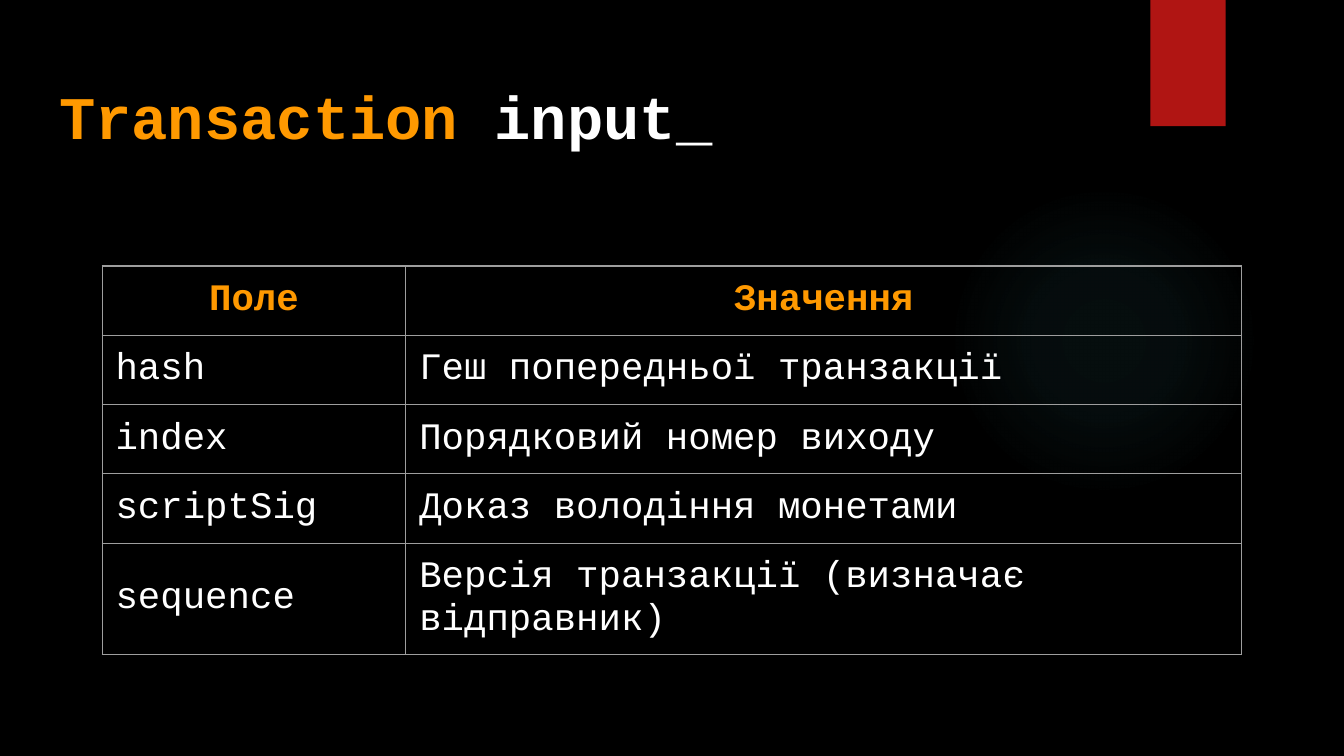
from dataclasses import dataclass

from lxml.etree import SubElement
from pptx import Presentation
from pptx.dml.color import RGBColor
from pptx.enum.shapes import MSO_SHAPE
from pptx.enum.text import MSO_ANCHOR, MSO_AUTO_SIZE, PP_ALIGN
from pptx.oxml import parse_xml
from pptx.oxml.ns import nsdecls, qn
from pptx.shapes.autoshape import Shape
from pptx.slide import Slide
from pptx.table import _Cell
from pptx.util import Inches, Pt


@dataclass(frozen=True)
class Theme:
    font: str = "Courier New"
    background: str = "000000"
    accent: str = "FF9900"
    text: str = "FFFFFF"
    ribbon: str = "B01513"
    glow: str = "50B9C1"
    border: str = "9E9E9E"
    title_size: float = 32.4
    table_size: float = 20
    border_width: float = 0.75


@dataclass(frozen=True)
class Box:
    left: float
    top: float
    width: float
    height: float

    def lengths(self) -> tuple[int, ...]:
        return tuple(Inches(v) for v in (self.left, self.top, self.width, self.height))


@dataclass(frozen=True)
class Field:
    name: str
    meaning: str


THEME = Theme()
SLIDE_WIDTH = 10
MARGIN = Inches(0.1)
ROW_HEIGHT = 0.42
COLUMN_WIDTHS = (2.26, 6.22)
HEADER = Field("Поле", "Значення")
FIELDS = (
    Field("hash", "Геш попередньої транзакції"),
    Field("index", "Порядковий номер виходу"),
    Field("scriptSig", "Доказ володіння монетами"),
    Field("sequence", "Версія транзакції (визначає відправник)"),
)


def add_plain_shape(slide: Slide, kind: MSO_SHAPE, box: Box) -> Shape:
    shape = slide.shapes.add_shape(kind, *box.lengths())
    shape.shadow.inherit = False
    shape.line.fill.background()
    return shape


def add_glow(slide: Slide, box: Box) -> None:
    glow = add_plain_shape(slide, MSO_SHAPE.OVAL, box)
    glow.fill.background()
    stops = "".join(
        f'<a:gs pos="{position * 1000}"><a:srgbClr val="{THEME.glow}">'
        f'<a:alpha val="{opacity * 1000}"/></a:srgbClr></a:gs>'
        for position, opacity in ((0, 7), (36, 6), (69, 0), (100, 0))
    )
    gradient = parse_xml(
        f'<a:gradFill {nsdecls("a")}><a:gsLst>{stops}</a:gsLst><a:path path="circle">'
        '<a:fillToRect l="50000" t="50000" r="50000" b="50000"/></a:path></a:gradFill>'
    )
    properties = glow._element.spPr
    properties.replace(properties.find(qn("a:noFill")), gradient)


def add_ribbon(slide: Slide, box: Box) -> None:
    ribbon = add_plain_shape(slide, MSO_SHAPE.RECTANGLE, box)
    ribbon.fill.solid()
    ribbon.fill.fore_color.rgb = RGBColor.from_string(THEME.ribbon)
    effects = ribbon._element.spPr.find(qn("a:effectLst"))
    shadow = SubElement(effects, qn("a:outerShdw"), blurRad=str(Pt(3)),
                        dist=str(Pt(2)), dir="5400000", rotWithShape="0")
    color = SubElement(shadow, qn("a:srgbClr"), val="000000")
    SubElement(color, qn("a:alpha"), val="45000")


def fill_title(slide: Slide, box: Box) -> None:
    title = slide.shapes.title
    title.left, title.top, title.width, title.height = box.lengths()
    slide.shapes._spTree.append(title._element)
    frame = title.text_frame
    frame.word_wrap = True
    frame.auto_size = MSO_AUTO_SIZE.NONE
    frame.vertical_anchor = MSO_ANCHOR.TOP
    frame.margin_left = frame.margin_right = MARGIN
    frame.margin_top = frame.margin_bottom = MARGIN
    heading = frame.paragraphs[0]
    heading.alignment = PP_ALIGN.LEFT
    heading.space_before = Pt(0)
    for words, color in (("Transaction ", THEME.accent), ("input_", THEME.text)):
        run = heading.add_run()
        run.text = words
        run.font.name = THEME.font
        run.font.size = Pt(THEME.title_size)
        run.font.bold = True
        run.font.color.rgb = RGBColor.from_string(color)


def add_borders(cell: _Cell) -> None:
    properties = cell._tc.get_or_add_tcPr()
    for index, side in enumerate(("lnL", "lnR", "lnT", "lnB")):
        properties.insert(index, parse_xml(
            f'<a:{side} {nsdecls("a")} w="{Pt(THEME.border_width)}"><a:solidFill>'
            f'<a:srgbClr val="{THEME.border}"/></a:solidFill></a:{side}>'
        ))


def fill_cell(cell: _Cell, words: str, is_header: bool, anchor: MSO_ANCHOR) -> None:
    cell.text = words
    cell.fill.background()
    cell.vertical_anchor = anchor
    cell.margin_left = cell.margin_right = MARGIN
    cell.margin_top = cell.margin_bottom = MARGIN
    paragraph = cell.text_frame.paragraphs[0]
    paragraph.alignment = PP_ALIGN.CENTER if is_header else PP_ALIGN.LEFT
    paragraph.font.name = THEME.font
    paragraph.font.size = Pt(THEME.table_size)
    paragraph.font.bold = is_header
    paragraph.font.color.rgb = RGBColor.from_string(THEME.accent if is_header else THEME.text)
    add_borders(cell)


def add_field_table(slide: Slide, left: float, top: float) -> None:
    rows = (HEADER, *FIELDS)
    box = Box(left, top, sum(COLUMN_WIDTHS), ROW_HEIGHT * len(rows))
    table = slide.shapes.add_table(len(rows), len(COLUMN_WIDTHS), *box.lengths()).table
    table.first_row = table.horz_banding = False
    for column, width in zip(table.columns, COLUMN_WIDTHS):
        column.width = Inches(width)
    for index, field in enumerate(rows):
        is_header = index == 0
        name_anchor = MSO_ANCHOR.TOP if is_header else MSO_ANCHOR.MIDDLE
        fill_cell(table.cell(index, 0), field.name, is_header, name_anchor)
        fill_cell(table.cell(index, 1), field.meaning, is_header, MSO_ANCHOR.TOP)


def main() -> None:
    presentation = Presentation()
    presentation.slide_width = Inches(SLIDE_WIDTH)
    presentation.slide_height = Inches(SLIDE_WIDTH * 9 / 16)
    slide = presentation.slides.add_slide(presentation.slide_layouts[5])
    slide.background.fill.solid()
    slide.background.fill.fore_color.rgb = RGBColor.from_string(THEME.background)
    add_glow(slide, Box(7.06, 1.38, 2.31, 2.31))
    add_ribbon(slide, Box(8.56, 0, 0.56, 0.94))
    fill_title(slide, Box(0.34, 0.49, 9.32, 0.63))
    add_field_table(slide, 0.76, 1.98)
    presentation.save("out.pptx")


if __name__ == "__main__":
    main()
